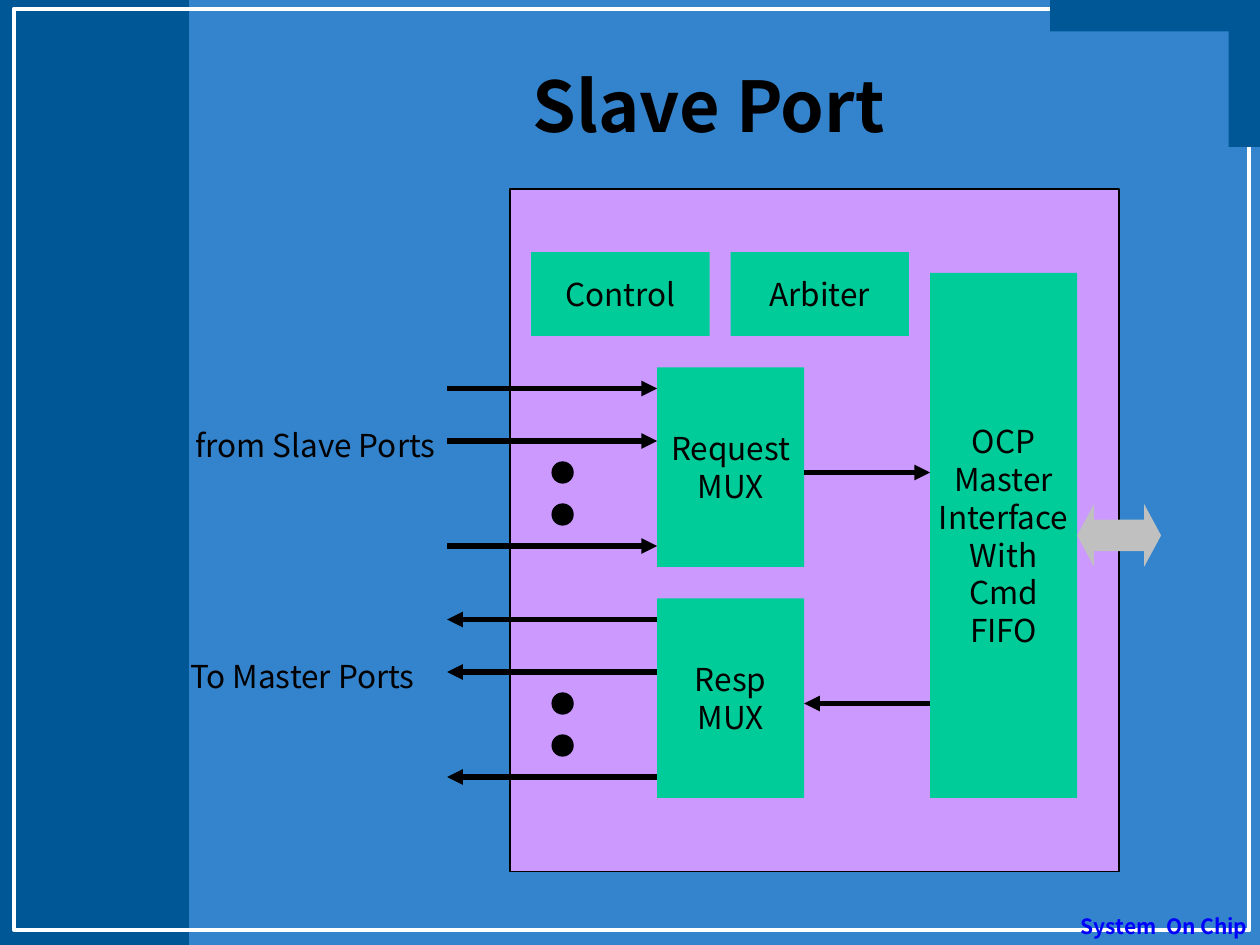
"""Build the Slave Port block diagram slide."""
from lxml.etree import SubElement
from pptx import Presentation
from pptx.dml.color import RGBColor
from pptx.enum.shapes import MSO_CONNECTOR, MSO_SHAPE
from pptx.enum.text import MSO_ANCHOR, PP_ALIGN
from pptx.oxml.ns import qn
from pptx.util import Pt

FONT = "Noto Sans CJK KR"
HUES = {
    "back": "3384CD", "band": "005796", "white": "FFFFFF", "black": "000000",
    "blue": "0000FF", "panel": "CC99FF", "block": "00CC99", "grey": "C0C0C0",
}
HUES = {name: RGBColor.from_string(code) for name, code in HUES.items()}


def draw(kind, place, fill=None, line=None, width=0.75):
    shape = slide.shapes.add_shape(kind, *map(Pt, place))
    shape.shadow.inherit = False
    if fill:
        shape.fill.solid()
        shape.fill.fore_color.rgb = HUES[fill]
    else:
        shape.fill.background()
    if line:
        shape.line.color.rgb = HUES[line]
        shape.line.width = Pt(width)
    else:
        shape.line.fill.background()
    return shape


def write(shape, lines, align, anchor, wrap=False, size=18, hue="black", bold=False):
    frame = shape.text_frame
    frame.word_wrap = wrap
    frame.vertical_anchor = anchor
    for i, text in enumerate(lines):
        para = frame.add_paragraph() if i else frame.paragraphs[0]
        para.alignment = align
        run = para.add_run()
        run.text = text
        run.font.name = FONT
        run.font.size = Pt(size)
        run.font.bold = bold
        run.font.color.rgb = HUES[hue]


deck = Presentation()
deck.slide_width, deck.slide_height = Pt(720), Pt(540)
slide = deck.slides.add_slide(deck.slide_layouts[6])
slide.background.fill.solid()
slide.background.fill.fore_color.rgb = HUES["back"]

draw(MSO_SHAPE.RECTANGLE, (0, 0, 108, 540), "band")
draw(MSO_SHAPE.RECTANGLE, (8, 5, 706, 526.5), line="white", width=2.25)
draw(MSO_SHAPE.RECTANGLE, (600, 0, 120, 18), "band")
draw(MSO_SHAPE.RECTANGLE, (702, 0, 18, 84), "band")

foot = slide.shapes.add_textbox(Pt(609), Pt(518.5), Pt(111), Pt(36))
write(foot, ["System  On Chip"], PP_ALIGN.RIGHT, MSO_ANCHOR.TOP, True, 12, "blue", True)
title = slide.shapes.add_textbox(Pt(108), Pt(24), Pt(594), Pt(72))
write(title, ["Slave Port"], PP_ALIGN.CENTER, MSO_ANCHOR.MIDDLE, True, 40, bold=True)

draw(MSO_SHAPE.RECTANGLE, (291.5, 108, 348, 390), "panel", "black")
blocks = [
    ("OCP Master Interface With Cmd FIFO", 531.5, 156, 84, 300),
    ("Control", 303.5, 144, 102, 48),
    ("Arbiter", 417.5, 144, 102, 48),
    ("Request MUX", 375.5, 210, 84, 114),
    ("Resp MUX", 375.5, 342, 84, 114),
]
for text, *place in blocks:
    block = draw(MSO_SHAPE.RECTANGLE, place, "block")
    write(block, text.split(), PP_ALIGN.CENTER, MSO_ANCHOR.MIDDLE)

wires = []
for top, inward in ((210, True), (342, False)):
    for drop in (12, 42, 102):
        ends = (255.5, 375.5) if inward else (375.5, 255.5)
        wires.append((*ends, top + drop))
    ends = (459.5, 531.5) if inward else (531.5, 459.5)
    wires.append((*ends, top + 60))
    for drop in (54, 78):
        draw(MSO_SHAPE.OVAL, (315.5, top + drop, 12, 12), "black", "black")

for start, end, y in wires:
    wire = slide.shapes.add_connector(
        MSO_CONNECTOR.STRAIGHT, Pt(start), Pt(y), Pt(end), Pt(y))
    wire.line.color.rgb = HUES["black"]
    wire.line.width = Pt(3)
    SubElement(wire.line._get_or_add_ln(), qn("a:tailEnd"), type="triangle")
    SubElement(wire._element.spPr, qn("a:effectLst"))

for text, left, top, width in (
    ("from Slave Ports", 104.5, 240, 153),
    ("To Master Ports", 101.5, 372, 147.5),
):
    label = slide.shapes.add_textbox(Pt(left), Pt(top), Pt(width), Pt(29))
    write(label, [text], PP_ALIGN.LEFT, MSO_ANCHOR.TOP)

arrow = draw(MSO_SHAPE.LEFT_RIGHT_ARROW, (615.5, 288, 48, 36), "grey")
arrow.adjustments[0] = 0.5
arrow.adjustments[1] = 0.27

deck.save("out.pptx")
